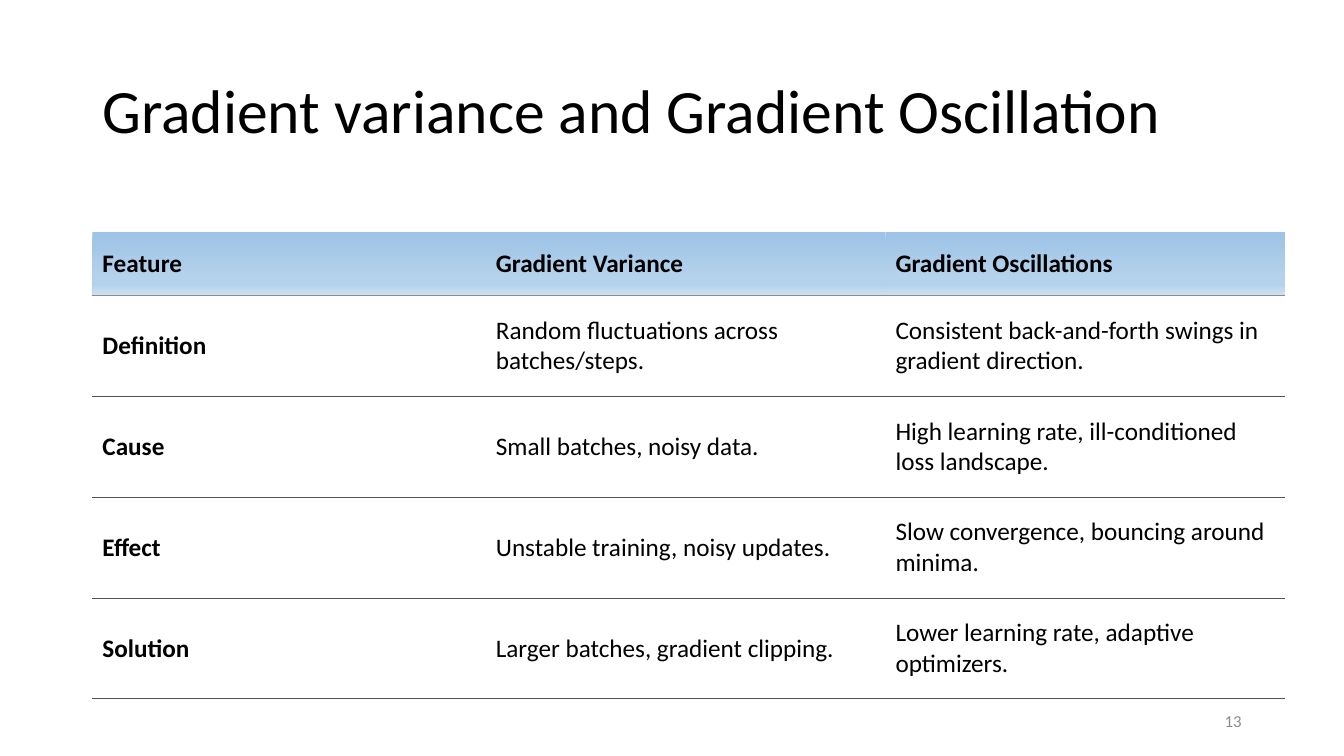
"""Build a slide comparing gradient variance with gradient oscillation in a table."""
import lxml.etree
import pptx
import pptx.dml.color
import pptx.enum.text
import pptx.oxml.ns
import pptx.util

Pt = pptx.util.Pt
RGBColor = pptx.dml.color.RGBColor
PP_ALIGN = pptx.enum.text.PP_ALIGN
MIDDLE = pptx.enum.text.MSO_ANCHOR.MIDDLE
qn = pptx.oxml.ns.qn

FONT = "Calibri"
BLACK = RGBColor(0x00, 0x00, 0x00)
PAGE_GRAY = RGBColor(0x8C, 0x8C, 0x8C)
HEADER_RULE = RGBColor(0x8B, 0x8B, 0x8B)
ROW_RULE = RGBColor(0x52, 0x52, 0x52)
HEADER_GRADIENT = [
    (0, RGBColor(0x9D, 0xC3, 0xE6)),
    (74, RGBColor(0xB5, 0xD2, 0xEC)),
    (83, RGBColor(0xB5, 0xD2, 0xEC)),
    (100, RGBColor(0xCE, 0xE1, 0xF2)),
]
COMPARISON = [
    ("Feature", "Gradient Variance", "Gradient Oscillations"),
    ("Definition", "Random fluctuations across batches/steps.",
     "Consistent back-and-forth swings in gradient direction."),
    ("Cause", "Small batches, noisy data.",
     "High learning rate, ill-conditioned loss landscape."),
    ("Effect", "Unstable training, noisy updates.",
     "Slow convergence, bouncing around minima."),
    ("Solution", "Larger batches, gradient clipping.",
     "Lower learning rate, adaptive optimizers."),
]


def write(frame, text, size, color, bold=False):
    frame.word_wrap = True
    paragraph = frame.paragraphs[0]
    run = paragraph.add_run()
    run.text = text
    run.font.name = FONT
    run.font.size = Pt(size)
    run.font.bold = bold
    run.font.color.rgb = color
    return paragraph


def add_color(parent, color):
    solid = lxml.etree.SubElement(parent, qn("a:solidFill"))
    lxml.etree.SubElement(solid, qn("a:srgbClr"), val=str(color))


deck = pptx.Presentation()
deck.slide_width, deck.slide_height = Pt(960), Pt(540)
slide = deck.slides.add_slide(deck.slide_layouts[6])

title = slide.shapes.add_textbox(Pt(66), Pt(28.75), Pt(828), Pt(104.4)).text_frame
title.vertical_anchor = MIDDLE
write(title, "Gradient variance and Gradient Oscillation", 44, BLACK).line_spacing = 0.9

table = slide.shapes.add_table(
    len(COMPARISON), 3, Pt(66), Pt(165.75), Pt(852), Pt(333.4)).table
table.horz_banding = False
table.first_row = False
for column, width in zip(table.columns, (281, 285.5, 285.5)):
    column.width = Pt(width)

for row_index, features in enumerate(COMPARISON):
    is_header = row_index == 0
    table.rows[row_index].height = Pt(45.4 if is_header else 72)
    top_rule = {0: None, 1: HEADER_RULE}.get(row_index, ROW_RULE)
    bottom_rule = HEADER_RULE if is_header else ROW_RULE
    for column_index, text in enumerate(features):
        cell = table.cell(row_index, column_index)
        cell.vertical_anchor = MIDDLE
        cell.margin_left = cell.margin_right = Pt(7.2)
        cell.margin_top = cell.margin_bottom = Pt(7.2)
        write(cell.text_frame, text, 18, BLACK, is_header or column_index == 0)

        properties = cell._tc.get_or_add_tcPr()
        rules = {"a:lnL": None, "a:lnR": None, "a:lnT": top_rule, "a:lnB": bottom_rule}
        for side, color in rules.items():
            rule = lxml.etree.SubElement(properties, qn(side), w=str(Pt(0.75)))
            if color is None:
                lxml.etree.SubElement(rule, qn("a:noFill"))
            else:
                add_color(rule, color)

        if is_header:
            gradient = lxml.etree.SubElement(properties, qn("a:gradFill"))
            stops = lxml.etree.SubElement(gradient, qn("a:gsLst"))
            for percent, color in HEADER_GRADIENT:
                stop = lxml.etree.SubElement(stops, qn("a:gs"), pos=str(percent * 1000))
                lxml.etree.SubElement(stop, qn("a:srgbClr"), val=str(color))
            lxml.etree.SubElement(gradient, qn("a:lin"), ang="5400000", scaled="0")
        else:
            cell.fill.background()

page_number = slide.shapes.add_textbox(Pt(678), Pt(500.5), Pt(216), Pt(28.75)).text_frame
page_number.vertical_anchor = MIDDLE
write(page_number, "13", 12, PAGE_GRAY).alignment = PP_ALIGN.RIGHT

deck.save("out.pptx")
